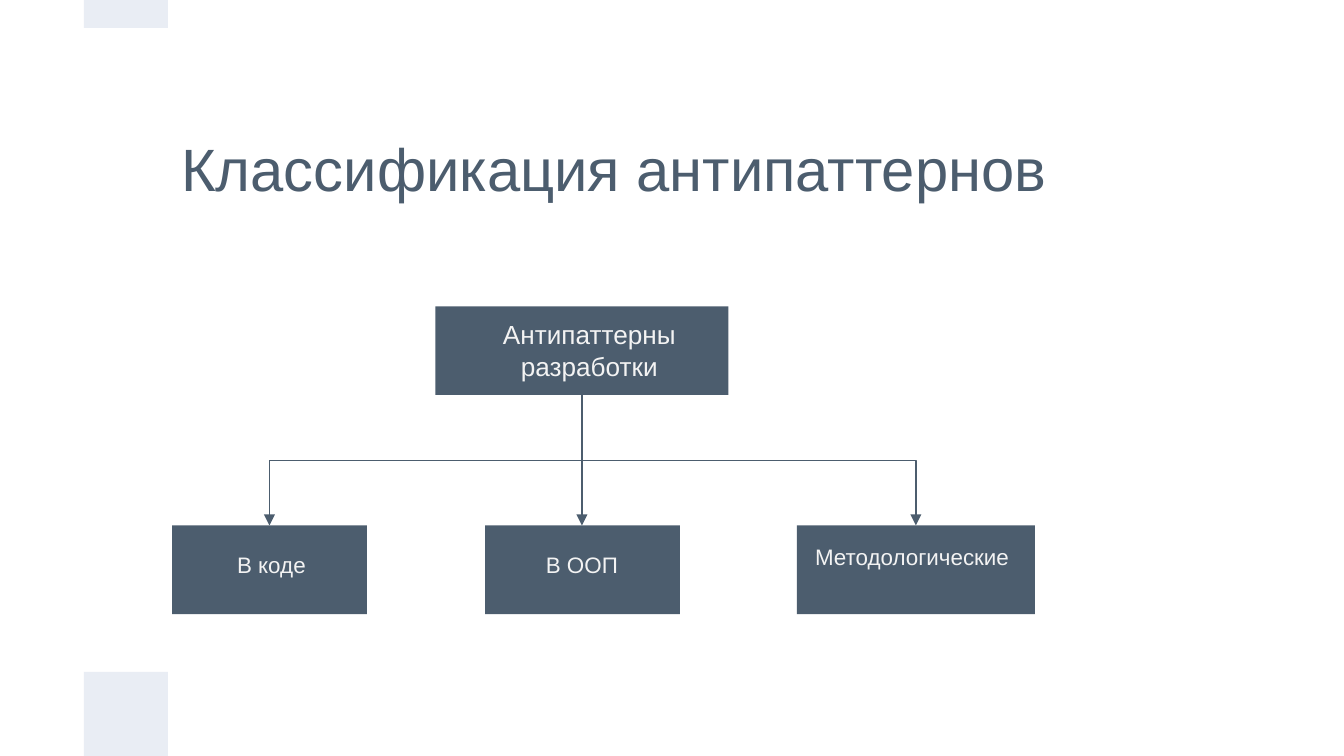
from dataclasses import dataclass

import pptx
import pptx.dml.color
import pptx.enum.shapes
import pptx.enum.text
import pptx.oxml
import pptx.oxml.ns
import pptx.util
from pptx.util import Inches

SLATE, PALE, LIGHT = "4C5D6E", "E9EDF4", "F3F3F3"
SLIDE_W = 10
SLIDE_H = SLIDE_W * 9 / 16
UNIT = SLIDE_W / 16
BOX_H, LABEL_H = 0.66, 0.48
ROOT_TOP, CHILD_TOP = 2.28, 3.91


@dataclass
class Label:
    text: str
    left: float
    top: float
    width: float
    size: int


@dataclass
class Node:
    left: float
    top: float
    width: float
    label: Label

    @property
    def center(self) -> float:
        return self.left + self.width / 2


ROOT = Node(3.24, ROOT_TOP, 2.18, Label("Антипаттерны разработки", 3.41, 2.27, 1.95, 14))
CHILDREN = [
    Node(1.28, CHILD_TOP, 1.45, Label("В коде", 1.31, 4, 1.42, 12)),
    Node(3.61, CHILD_TOP, 1.45, Label("В ООП", 3.62, 4, 1.42, 12)),
    Node(5.93, CHILD_TOP, 1.77, Label("Методологические ", 5.95, 3.94, 1.72, 12)),
]


def rgb(color: str) -> pptx.dml.color.RGBColor:
    return pptx.dml.color.RGBColor.from_string(color)


def add_rect(s, left: float, top: float, width: float, height: float, color: str) -> None:
    sp = s.shapes.add_shape(pptx.enum.shapes.MSO_SHAPE.RECTANGLE, Inches(left),
                            Inches(top), Inches(width), Inches(height))
    sp.shadow.inherit = False
    sp.fill.solid()
    sp.fill.fore_color.rgb = rgb(color)
    sp.line.fill.background()


def add_text(s, label: Label, height: float, color: str, align, anchor) -> None:
    sp = s.shapes.add_textbox(Inches(label.left), Inches(label.top),
                              Inches(label.width), Inches(height))
    tf = sp.text_frame
    tf.word_wrap = True
    tf.vertical_anchor = anchor
    tf.margin_left = tf.margin_right = tf.margin_top = tf.margin_bottom = Inches(0.1)
    p = tf.paragraphs[0]
    p.alignment = align
    r = p.add_run()
    r.text = label.text
    r.font.name = "Arial"
    r.font.size = pptx.util.Pt(label.size)
    r.font.color.rgb = rgb(color)


def add_arrow(s, parent: Node, child: Node) -> None:
    """Join two nodes, straight if aligned, otherwise by a turned elbow."""
    kinds = pptx.enum.shapes.MSO_CONNECTOR
    x1, x2 = parent.center, child.center
    y1, y2 = parent.top + BOX_H, child.top
    dx, dy = x2 - x1, y2 - y1
    if abs(dx) < 0.02:
        cx = s.shapes.add_connector(kinds.STRAIGHT, Inches(x1), Inches(y1),
                                    Inches(x1), Inches(y2))
    else:
        # An elbow leaves sideways, so lay it flat and rotate about its middle.
        mx, my = (x1 + x2) / 2, (y1 + y2) / 2
        half_w = dy / 2 if dx < 0 else -dy / 2
        half_h = abs(dx) / 2
        cx = s.shapes.add_connector(kinds.ELBOW, Inches(mx - half_w), Inches(my - half_h),
                                    Inches(mx + half_w), Inches(my + half_h))
        xfrm = cx._element.spPr.find(pptx.oxml.ns.qn("a:xfrm"))
        xfrm.set("rot", str((90 if dx < 0 else 270) * 60000))
    cx.line.color.rgb = rgb(SLATE)
    cx.line.width = pptx.util.Pt(0.75)
    ns = pptx.oxml.ns.nsdecls("a")
    cx.line._get_or_add_ln().append(
        pptx.oxml.parse_xml(f'<a:tailEnd {ns} type="triangle"/>'))
    cx._element.spPr.append(pptx.oxml.parse_xml(f"<a:effectLst {ns}/>"))


def main() -> None:
    prs = pptx.Presentation()
    prs.slide_width, prs.slide_height = Inches(SLIDE_W), Inches(SLIDE_H)
    s = prs.slides.add_slide(prs.slide_layouts[6])
    aligns, anchors = pptx.enum.text.PP_ALIGN, pptx.enum.text.MSO_ANCHOR

    for top, height in ((SLIDE_H - UNIT, UNIT), (0, UNIT / 3)):
        add_rect(s, UNIT, top, UNIT, height, PALE)
    title = Label("Классификация антипаттернов", 2 * UNIT, UNIT, 12 * UNIT, 32)
    add_text(s, title, 2 * UNIT, SLATE, aligns.LEFT, anchors.MIDDLE)

    nodes = [ROOT, *CHILDREN]
    for node in nodes:
        add_rect(s, node.left, node.top, node.width, BOX_H, SLATE)
    for child in CHILDREN:
        add_arrow(s, ROOT, child)
    for node in nodes:
        add_text(s, node.label, LABEL_H, LIGHT, aligns.CENTER, anchors.TOP)

    prs.save("out.pptx")


if __name__ == "__main__":
    main()
